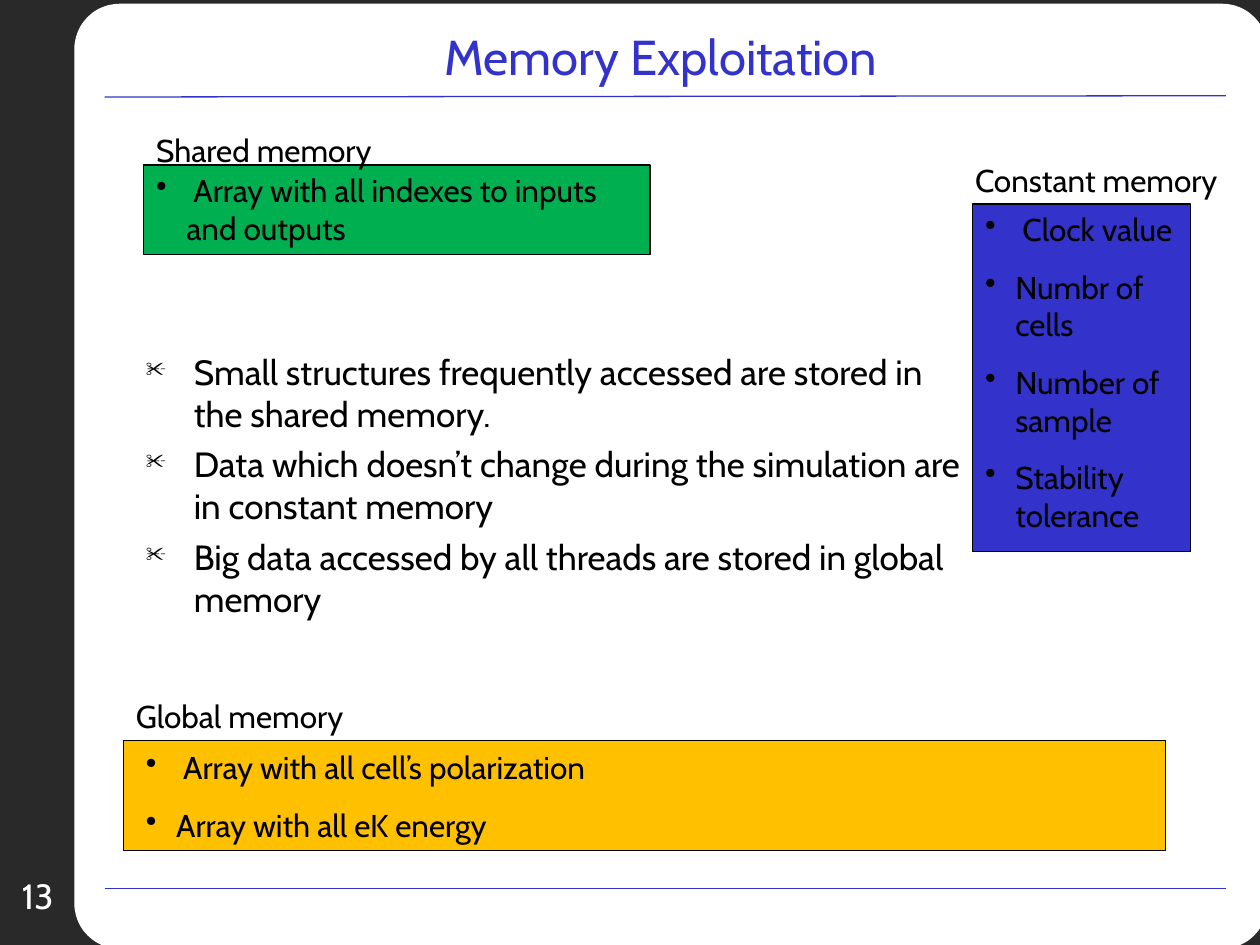
from lxml import etree
from pptx import Presentation
from pptx.dml.color import RGBColor
from pptx.enum import shapes, text
from pptx.oxml import ns
from pptx.util import Inches, Pt

BLACK, WHITE, BLUE = "000000", "FFFFFF", "3333CC"
MID = text.PP_ALIGN.CENTER


def hue(code):
    return RGBColor.from_string(code)


def write(box, lines, size=18, color=BLACK, align=None, anchor=text.MSO_ANCHOR.TOP,
          mark=None, scale=100, indent=0.24, gap=0):
    frame = box.text_frame
    frame.word_wrap = True
    frame.vertical_anchor = anchor
    for i, line in enumerate(lines):
        para = frame.paragraphs[0] if i == 0 else frame.add_paragraph()
        para.alignment = align
        if i:
            para.space_before = Pt(gap)
        if mark:
            props = para._p.get_or_add_pPr()
            props.set("marL", str(Inches(indent)))
            props.set("indent", str(-Inches(indent)))
            tint = etree.SubElement(props, ns.qn("a:buClr"))
            etree.SubElement(tint, ns.qn("a:srgbClr"), val=BLACK)
            etree.SubElement(props, ns.qn("a:buSzPct"), val=str(scale * 1000))
            etree.SubElement(props, ns.qn("a:buChar"), char=mark)
        run = para.add_run()
        run.text = line
        run.font.size = Pt(size)
        run.font.name = "Cabin"
        run.font.color.rgb = hue(color)


deck = Presentation()
deck.slide_width, deck.slide_height = Inches(10), Inches(7.5)
slide = deck.slides.add_slide(deck.slide_layouts[5])
items = slide.shapes

# Dark background with a rounded white page
slide.background.fill.solid()
slide.background.fill.fore_color.rgb = hue("292929")
page = items.add_shape(shapes.MSO_SHAPE.ROUNDED_RECTANGLE,
                       Inches(0.59), Inches(0.03), Inches(9.47), Inches(7.5))
page.adjustments[0] = 0.048
page.shadow.inherit = False
page.fill.solid()
page.fill.fore_color.rgb = hue(WHITE)
page.line.fill.background()

# Rules under the title and above the foot
for start, end in [(0.77, 0.76), (7.05, 7.05)]:
    rule = items.add_connector(shapes.MSO_CONNECTOR.STRAIGHT,
                               Inches(0.83), Inches(start), Inches(9.73), Inches(end))
    rule.line.color.rgb = hue(BLUE)
    rule.line.width = Pt(0.75)
    etree.SubElement(rule._element.spPr, ns.qn("a:effectLst"))

# Title, moved in front of the page
title = items.title
title.left, title.top = Inches(2.14), Inches(-0.02)
title.width, title.height = Inches(6.21), Inches(0.92)
write(title, ["Memory Exploitation"], size=28, color=BLUE, align=MID,
      anchor=text.MSO_ANCHOR.MIDDLE)
items._spTree.append(title._element)

# Slide number
number = items.add_textbox(Inches(-0.07), Inches(6.89), Inches(0.74), Inches(0.32))
write(number, ["13"], size=20, color=WHITE, align=MID)

# Memory blocks: label and place, fill and place, list and place
blocks = [
    ("Global memory", (0.98, 5.48, 2.13, 0.4),
     "FFC000", (0.98, 5.88, 8.27, 0.87),
     [" Array with all cell’s polarization", "Array with all eK energy"],
     (1.06, 5.89, 4.1, 0.86)),
    ("Shared memory", (1.14, 0.99, 2.28, 0.4),
     "00B050", (1.14, 1.31, 4.02, 0.71),
     [" Array with all indexes to inputs and outputs"],
     (1.14, 1.31, 4.09, 0.7)),
    ("Constant memory", (7.64, 1.23, 2.36, 0.4),
     BLUE, (7.72, 1.62, 1.73, 2.76),
     [" Clock value", "Numbr of cells", "Number of sample", "Stability tolerance"],
     (7.72, 1.62, 1.73, 2.67)),
]
for name, spot, fill, area, lines, place in blocks:
    block = items.add_shape(shapes.MSO_SHAPE.RECTANGLE, *map(Inches, area))
    block.shadow.inherit = False
    block.fill.solid()
    block.fill.fore_color.rgb = hue(fill)
    block.line.color.rgb = hue(BLACK)
    block.line.width = Pt(0.75)
    write(items.add_textbox(*map(Inches, spot)), [name])
    write(items.add_textbox(*map(Inches, place)), lines, mark="•", gap=11.2)

# Main points
points = items.add_textbox(Inches(1.06), Inches(2.73), Inches(6.77), Inches(2.21))
write(points, [
    "Small structures frequently accessed are stored in the shared memory.",
    "Data which doesn’t change during the simulation are in constant memory",
    "Big data accessed by all threads are stored in global memory",
], size=20, mark="✂", scale=60, indent=0.38, gap=5)

deck.save("out.pptx")
